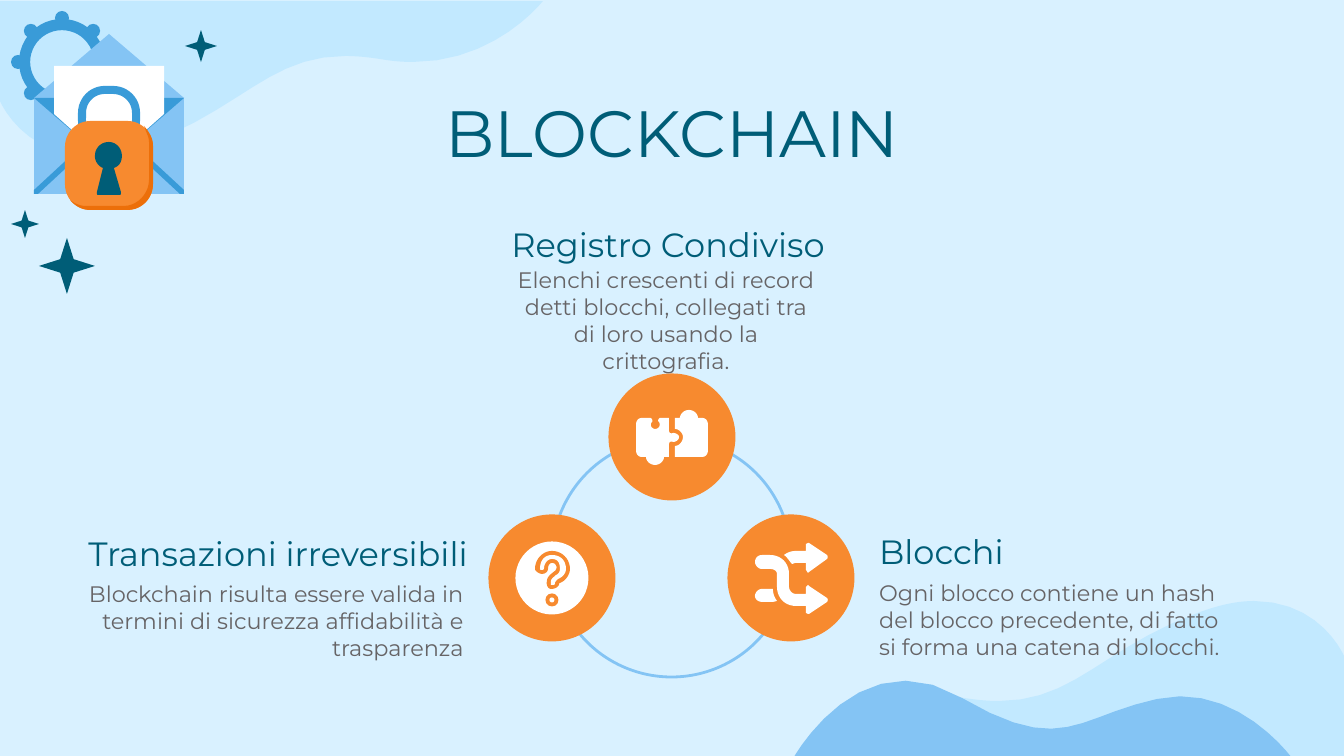
from math import cos, pi, sin
from pptx import Presentation
from pptx.dml.color import RGBColor
from pptx.enum.shapes import MSO_SHAPE as Kind
from pptx.enum.text import MSO_ANCHOR as Anchor, PP_ALIGN as Align
from pptx.util import Pt

SCALE = 914400 / 134.4
HUES = {
    "sky": "D9F1FF", "pale": "C2E9FF", "blue": "84C4F4", "mid": "399BD8",
    "teal": "005D77", "gray": "666466", "gold": "F78A2F", "rust": "EC6F09",
    "white": "FFFFFF",
}


def emu(size):
    return round(size * SCALE)


def trace(path, steps=10):
    points, args, mode = [], [], ""
    for word in path.split():
        if word.isalpha():
            mode = word
            continue
        args.append(int(word))
        if mode == "C" and len(args) == 8 - 2:
            start = points[-1]
            pairs = [start, *zip(args[::2], args[1::2])]
            for step in range(1, steps + 1):
                t = step / steps
                u = 1 - t
                parts = (u ** 3, 3 * u * u * t, 3 * u * t * t, t ** 3)
                points.append(tuple(
                    sum(w * p[axis] for w, p in zip(parts, pairs))
                    for axis in (0, 1)))
            args = []
        elif mode != "C" and len(args) == 2:
            points.append(tuple(args))
            args = []
    return [(emu(x), emu(y)) for x, y in points]


class Deck:
    font = "Montserrat"

    def __init__(self, wide, high):
        self.show = Presentation()
        self.show.slide_width = emu(wide)
        self.show.slide_height = emu(high)
        self.slide = self.show.slides.add_slide(self.show.slide_layouts[6])
        self.shapes = self.slide.shapes

    def hue(self, name):
        return RGBColor.from_string(HUES[name])

    def back(self, name):
        fill = self.slide.background.fill
        fill.solid()
        fill.fore_color.rgb = self.hue(name)

    def style(self, item, fill=None, line=None, width=1.5):
        item.shadow.inherit = False
        if fill:
            item.fill.solid()
            item.fill.fore_color.rgb = self.hue(fill)
        else:
            item.fill.background()
        if line:
            item.line.color.rgb = self.hue(line)
            item.line.width = Pt(width)
        else:
            item.line.fill.background()
        return item

    def shape(self, kind, x, y, w, h, fill=None, adj=None, **line):
        item = self.shapes.add_shape(kind, emu(x), emu(y), emu(w), emu(h))
        if adj is not None:
            item.adjustments[0] = adj
        return self.style(item, fill, **line)

    def disc(self, x, y, size, fill):
        half = size / 2
        return self.shape(Kind.OVAL, x - half, y - half, size, size, fill)

    def free(self, path, fill):
        first, *rest = trace(path)
        form = self.shapes.build_freeform(*first, scale=1)
        form.add_line_segments(rest, close=True)
        return self.style(form.convert_to_shape(), fill)

    def text(self, words, x, y, w, h, size, hue, align, anchor=Anchor.TOP):
        frame = self.shapes.add_textbox(
            emu(x), emu(y), emu(w), emu(h)).text_frame
        frame.word_wrap = True
        frame.vertical_anchor = anchor
        frame.margin_left = frame.margin_right = Pt(7.2)
        frame.margin_top = frame.margin_bottom = Pt(7.2)
        para = frame.paragraphs[0]
        para.alignment = align
        run = para.add_run()
        run.text = words
        run.font.name = self.font
        run.font.size = Pt(size)
        run.font.color.rgb = self.hue(hue)


deck = Deck(1344, 756)
deck.back("sky")

WAVE = ("M 0 1 L 0 101 C 0 101 23 156 90 156 105 156 122 153 144 145 "
        "241 110 269 56 345 56 356 56 367 57 380 59 391 61 402 62 413 62 "
        "496 62 543 1 543 1")
low = deck.free(WAVE, "pale")
low.left, low.top, low.rotation = emu(801), emu(601), 180
deck.free(WAVE, "pale")
deck.free("M 1292 758 C 1292 758 1236 681 1157 699 1077 716 1063 757 962 698 "
          "861 637 794 757 794 757", "blue")

deck.shape(Kind.OVAL, 552, 438, 239, 239, line="blue")
deck.text("BLOCKCHAIN", 106, 79, 1133, 99, 35, "teal", Align.CENTER)

TOPICS = [
    ("Blocchi", (866, 503, 331, 82),
     "Ogni blocco contiene un hash del blocco precedente, di fatto "
     "si forma una catena di blocchi.", (866, 566, 387, 74), Align.LEFT),
    ("Transazioni irreversibili", (20, 505, 461, 82),
     "Blockchain risulta essere valida in termini di sicurezza "
     "affidabilità e trasparenza", (70, 567, 407, 74), Align.RIGHT),
    ("Registro Condiviso ", (442, 196, 461, 82),
     "Elenchi crescenti di record detti blocchi, collegati tra di loro "
     "usando la crittografia.", (504, 253, 324, 74), Align.CENTER),
]
for head, spot, body, place, align in TOPICS:
    deck.text(head, *spot, 18, "teal", align, Anchor.BOTTOM)
    deck.text(body, *place, 12, "gray", align)

for x, y in ((672, 437), (791, 578), (552, 578)):
    deck.disc(x, y, 127, "gold")

ARROWS = [
    "M 762 555 C 758 555 755 558 755 562 755 565 758 569 762 569 L 770 569 "
    "C 774 569 777 571 777 574 L 777 587 C 777 598 785 606 796 606 "
    "L 806 606 806 613 808 614 809 614 827 602 C 828 601 828 599 827 598 "
    "L 809 586 808 585 806 587 806 594 796 594 C 792 594 789 590 789 587 "
    "L 789 574 C 789 563 781 555 770 555",
    "M 773 589 L 762 589 C 758 589 755 593 755 596 755 599 758 602 762 602 "
    "L 770 602 C 773 602 774 602 777 601 774 597 773 593 773 589",
    "M 808 543 L 806 544 806 551 796 551 C 792 551 788 552 784 555 "
    "788 558 790 562 792 564 793 564 794 563 796 563 L 806 563 806 570 "
    "808 573 809 572 827 559 C 828 558 828 556 827 555 L 809 543",
]
PUZZLE = [
    "M 642 418 C 638 418 636 421 636 425 L 636 450 "
    "C 636 454 638 457 642 457 L 646 457 C 646 461 650 465 655 465 "
    "660 465 664 461 664 457 L 669 457 669 444 C 669 442 671 441 673 442 "
    "676 442 679 440 679 437 679 435 676 433 673 433 671 434 669 433 669 431 "
    "L 669 418 660 418 C 659 418 657 421 659 422 661 425 659 429 655 429 "
    "652 429 649 425 652 422 653 421 652 418 650 418",
    "M 689 410 C 684 410 680 414 680 418 L 675 418 675 429 "
    "C 679 429 683 433 683 437 683 442 679 446 675 446 L 675 457 702 457 "
    "C 706 457 708 454 708 450 L 708 425 C 708 421 706 418 702 418 "
    "L 698 418 C 698 414 694 410 689 410",
]
for path in ARROWS + PUZZLE:
    deck.free(path, "white")

deck.disc(552, 578, 73, "white")
deck.free("M 552 551 C 562 551 570 559 570 569 570 574 566 581 560 583 "
          "559 583 559 585 559 585 558 587 555 589 552 589 L 551 589 "
          "C 548 589 546 585 547 581 547 577 551 574 555 571 "
          "556 570 558 567 555 564 555 564 554 563 552 563 "
          "551 563 548 564 548 569 548 571 546 574 542 574 "
          "539 574 535 571 535 569 535 559 543 551 552 551", "gold")
deck.free("M 552 555 C 546 555 540 559 540 569 540 569 540 570 542 570 "
          "543 570 544 569 544 569 544 563 548 559 552 559 "
          "558 559 560 563 560 569 560 571 559 574 556 575 "
          "554 577 551 579 551 581 L 551 585 552 585 "
          "C 554 585 555 585 555 583 555 582 556 581 558 579 "
          "563 577 566 573 566 569 566 559 559 555 552 555", "white")
deck.disc(552, 600, 13, "gold")
deck.disc(552, 600, 5, "white")

deck.shape(Kind.DONUT, 19, 19, 86, 86, "mid", 0.13)
for tooth in range(8):
    angle = tooth * pi / 4
    deck.disc(62 + 44 * cos(angle), 62 + 44 * sin(angle), 14, "mid")

deck.shape(Kind.ISOSCELES_TRIANGLE, 34, 34, 150, 64, "blue")
deck.shape(Kind.RECTANGLE, 34, 98, 150, 96, "blue")
deck.free("M 34 98 L 109 163 184 98", "mid")
deck.free("M 54 66 L 54 114 109 163 164 114 164 66", "white")
deck.free("M 116 128 C 113 128 110 130 113 132 L 180 194 184 194 184 190 "
          "117 128", "mid")
deck.free("M 103 128 L 101 128 34 190 34 194 38 194 105 132 "
          "C 108 130 105 128 103 128", "mid")
deck.shape(Kind.ROUNDED_RECTANGLE, 82, 90, 54, 53, adj=0.43,
           line="mid", width=4.3)
deck.shape(Kind.ROUNDED_RECTANGLE, 65, 121, 88, 89, "gold", 0.29)
deck.free("M 144 126 C 146 132 149 137 149 142 L 149 180 "
          "C 149 194 137 206 124 206 L 86 206 C 79 206 74 203 70 200 "
          "75 206 82 210 90 210 L 128 210 C 141 210 153 199 153 184 "
          "L 153 146 C 153 138 149 132 144 126", "rust")
deck.free("M 109 142 C 101 142 95 148 95 156 95 161 98 166 103 168 "
          "L 97 192 C 97 194 97 195 98 195 L 120 195 "
          "C 121 195 121 194 121 192 L 114 168 C 120 166 122 161 122 156 "
          "122 148 116 142 109 142", "teal")
for x, y, size in ((39, 238, 56), (185, 30, 32), (11, 210, 28)):
    deck.shape(Kind.STAR_4_POINT, x, y, size, size, "teal", 0.17)

deck.show.save("out.pptx")
